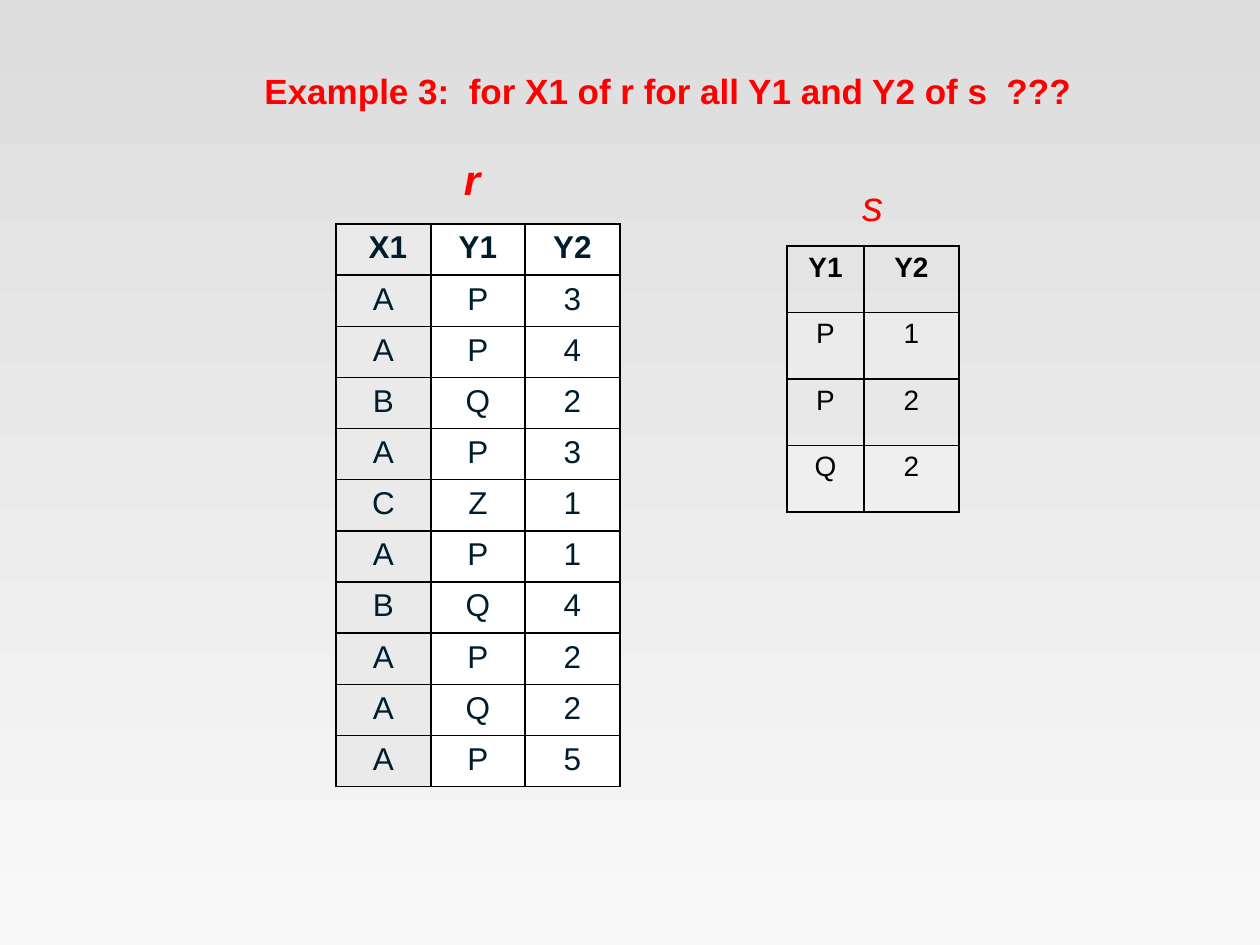
import pptx
import pptx.dml.color
import pptx.enum.text
import pptx.oxml
import pptx.oxml.ns
import pptx.util

PX = 914400 / 126
MID = pptx.enum.text.PP_ALIGN.CENTER


def color(code):
    return pptx.dml.color.RGBColor.from_string(code)


def put_table(rows, left, top, widths, height, size, ink, fills):
    """Draw a ruled table; fills(row, col) gives (hex, alpha percent) or None."""
    frame = slide.shapes.add_table(
        len(rows), len(widths), round(left * PX), round(top * PX),
        round(sum(widths) * PX), round(height * PX))
    table = frame.table
    table.first_row = table.horz_banding = False
    for col, width in zip(table.columns, widths):
        col.width = round(width * PX)
    for i, row in enumerate(rows):
        table.rows[i].height = round(height * PX / len(rows))
        for j, word in enumerate(row):
            cell = table.cell(i, j)
            props = cell._tc.get_or_add_tcPr()
            for side in ("lnL", "lnR", "lnT", "lnB"):
                props.append(pptx.oxml.parse_xml(
                    f'<a:{side} {pptx.oxml.ns.nsdecls("a")} w="12700"><a:solidFill>'
                    f'<a:srgbClr val="000000"/></a:solidFill></a:{side}>'))
            fill = fills(i, j)
            if fill:
                cell.fill.solid()
                cell.fill.fore_color.rgb = color(fill[0])
                if fill[1] < 100:
                    tint = props.find("a:solidFill/a:srgbClr", pptx.oxml.ns._nsmap)
                    tint.append(pptx.oxml.parse_xml(
                        f'<a:alpha {pptx.oxml.ns.nsdecls("a")} val="{fill[1] * 1000}"/>'))
            else:
                cell.fill.background()
            para = cell.text_frame.paragraphs[0]
            para.text = word
            para.alignment = MID
            para.font.name = "Arial"
            para.font.size = pptx.util.Pt(size)
            para.font.bold = i == 0
            para.font.color.rgb = color(ink)


deck = pptx.Presentation()
deck.slide_width = round(1260 * PX)
deck.slide_height = round(945 * PX)
slide = deck.slides.add_slide(deck.slide_layouts[6])

back = slide.background.fill
back.gradient()
back.gradient_angle = 270
for stop, code in zip(back.gradient_stops, ("DDDDDD", "F8F8F8")):
    stop.color.rgb = color(code)

put_table(
    [("Y1", "Y2"), "P1", "P2", "Q2"],
    787, 246, (77, 95), 266, 16, "000000",
    lambda i, j: ("FFFFFF", 20) if i % 2 else None)

put_table(
    [(" X1", "Y1", "Y2"), "AP3", "AP4", "BQ2", "AP3", "CZ1",
     "AP1", "BQ4", "AP2", "AQ2", "AP5"],
    336, 224, (95, 94, 95), 563, 18, "001D2E",
    lambda i, j: ("FFFFFF" if j else "EAEAEA", 100))

for word, left, top, width, height, size, bold, slant in (
    ("r", 451, 147, 42, 63, 24, True, True),
    ("s", 849, 173, 47, 64, 24, False, True),
    ("Example 3:  for X1 of r for all Y1 and Y2 of s  ???",
     252, 63, 838, 55, 20, True, False),
):
    box = slide.shapes.add_textbox(*(round(n * PX) for n in (left, top, width, height)))
    frame = box.text_frame
    frame.word_wrap = False
    frame.auto_size = pptx.enum.text.MSO_AUTO_SIZE.SHAPE_TO_FIT_TEXT
    para = frame.paragraphs[0]
    para.text = word
    if slant:
        frame.vertical_anchor = pptx.enum.text.MSO_ANCHOR.MIDDLE
        para.alignment = MID
    para.font.name = "Arial"
    para.font.size = pptx.util.Pt(size)
    para.font.bold = bold
    para.font.italic = slant
    para.font.color.rgb = color("FF0000")

deck.save("out.pptx")
